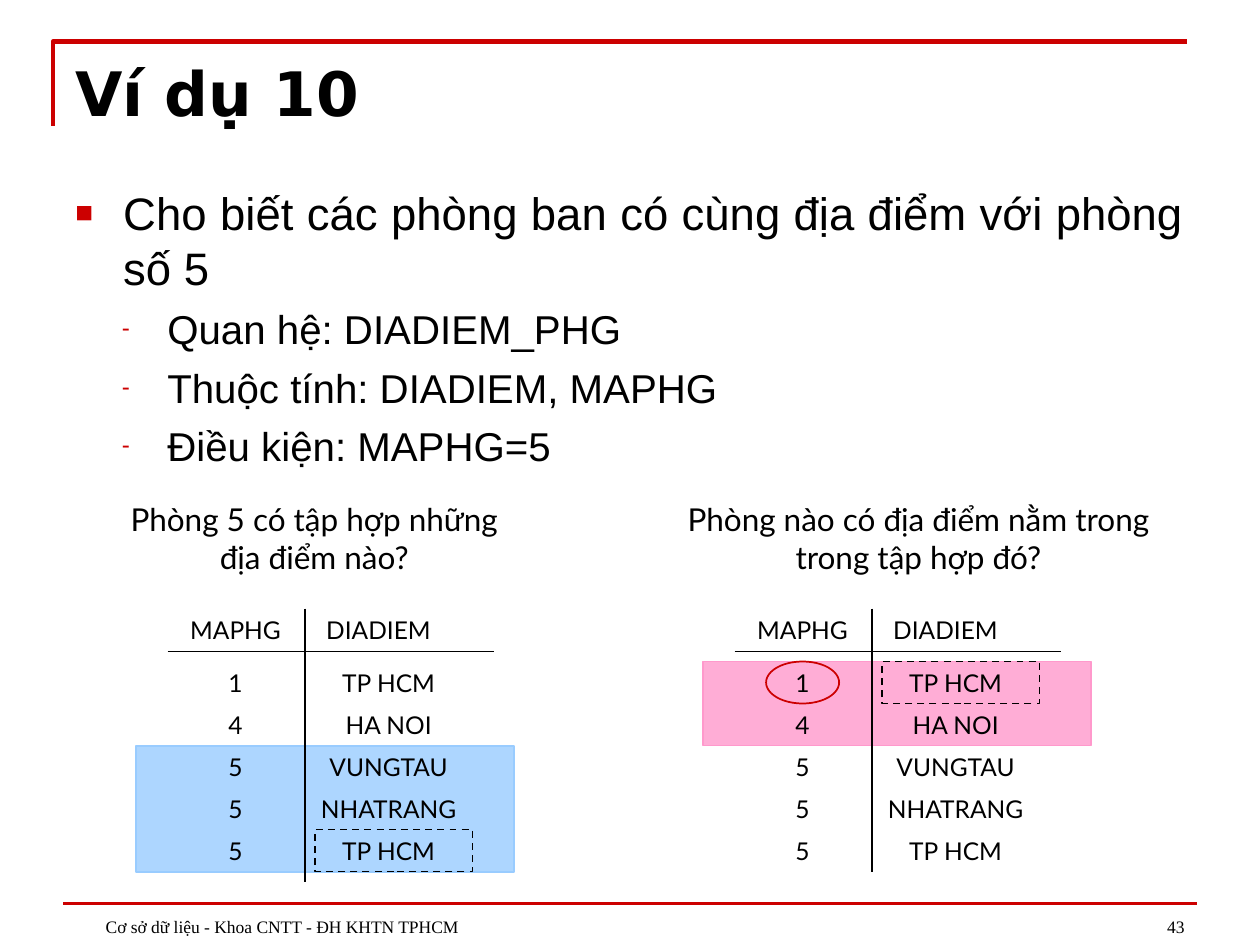
from dataclasses import dataclass

from lxml.etree import SubElement
from pptx import Presentation
from pptx.dml.color import RGBColor
from pptx.enum.dml import MSO_LINE
from pptx.enum.shapes import MSO_CONNECTOR, MSO_SHAPE
from pptx.enum.text import MSO_ANCHOR, PP_ALIGN
from pptx.oxml.ns import qn
from pptx.util import Inches, Pt


@dataclass(frozen=True)
class Theme:
    black: str = "000000"
    red: str = "CC0000"
    blue: str = "99CCFF"
    pink: str = "FF99CC"
    title_font: str = "DejaVu Sans"
    body_font: str = "Arial"
    table_font: str = "Lato"
    footer_font: str = "Times New Roman"
    title_size: float = 35
    body_size: float = 26
    detail_size: float = 23
    caption_size: float = 18
    cell_size: float = 14
    footer_size: float = 10


@dataclass(frozen=True)
class Area:
    left: float
    top: float
    width: float
    height: float

    def lengths(self) -> tuple:
        return tuple(Inches(n) for n in (self.left, self.top, self.width, self.height))


@dataclass(frozen=True)
class Bullet:
    mark: str
    percent: int
    margin: float
    hanging: float
    space_before: float


@dataclass(frozen=True)
class Relation:
    left: float
    bottom: float
    caption: str
    caption_area: Area
    highlight: Area
    colour: str


THEME = Theme()
HEADER_TOP, FIRST_ROW_TOP, ROW_STEP = 4.83, 5.25, 1 / 3
KEY_WIDTH, PLACE_WIDTH, CELL_HEIGHT = 1.08, 1.33, 0.34
ROWS = [("1", "TP HCM"), ("4", "HA NOI"), ("5", "VUNGTAU"), ("5", "NHATRANG"), ("5", "TP HCM")]
MAIN_BULLET = Bullet("■", 65, 0.38, -0.38, 6.5)
DETAIL_BULLET = Bullet("-", 60, 0.73, -0.36, 5.8)
BODY = [
    ("Cho biết các phòng ban có cùng địa điểm với phòng số 5", THEME.body_size, MAIN_BULLET),
    ("Quan hệ: DIADIEM_PHG", THEME.detail_size, DETAIL_BULLET),
    ("Thuộc tính: DIADIEM, MAPHG", THEME.detail_size, DETAIL_BULLET),
    ("Điều kiện: MAPHG=5", THEME.detail_size, DETAIL_BULLET),
]
RELATIONS = [
    Relation(5.83, 6.92, "Phòng nào có địa điểm nằm trong trong tập hợp đó?",
             Area(5.33, 3.92, 3.92, 0.7), Area(5.58, FIRST_ROW_TOP, 3.08, 2 * ROW_STEP), THEME.pink),
    Relation(1.33, 7, "Phòng 5 có tập hợp những địa điểm nào?",
             Area(0.83, 3.92, 3.33, 0.7), Area(1.08, 5.92, 3, 3 * ROW_STEP), THEME.blue),
]


def colour(code: str) -> RGBColor:
    return RGBColor.from_string(code)


def style(paragraph, font: str, size: float, align=PP_ALIGN.LEFT, bold: bool = False) -> None:
    paragraph.alignment = align
    paragraph.font.name = font
    paragraph.font.size = Pt(size)
    paragraph.font.bold = bold
    paragraph.font.color.rgb = colour(THEME.black)


def add_frame(page, area: Area, anchor=MSO_ANCHOR.TOP):
    frame = page.shapes.add_textbox(*area.lengths()).text_frame
    frame.word_wrap = True
    frame.vertical_anchor = anchor
    return frame


def add_text(page, area: Area, text: str, font: str, size: float, align=PP_ALIGN.CENTER,
             bold: bool = False, anchor=MSO_ANCHOR.TOP):
    para = add_frame(page, area, anchor).paragraphs[0]
    para.text = text
    style(para, font, size, align, bold)
    return para


def add_bullet(paragraph, bullet: Bullet) -> None:
    """Give the paragraph a red bullet with a hanging indent."""
    paragraph.space_before = Pt(bullet.space_before)
    properties = paragraph._p.get_or_add_pPr()
    properties.set("marL", str(Inches(bullet.margin)))
    properties.set("indent", str(Inches(bullet.hanging)))
    bullet_colour = SubElement(properties, qn("a:buClr"))
    SubElement(bullet_colour, qn("a:srgbClr"), val=THEME.red)
    SubElement(properties, qn("a:buSzPct"), val=str(bullet.percent * 1000))
    SubElement(properties, qn("a:buFont"), typeface=THEME.body_font)
    SubElement(properties, qn("a:buChar"), char=bullet.mark)


def add_body(page) -> None:
    frame = add_frame(page, Area(0.5, 1.42, 9, 5.29))
    for index, (text, size, bullet) in enumerate(BODY):
        para = frame.add_paragraph() if index else frame.paragraphs[0]
        para.text = text
        para.level = int(bullet is DETAIL_BULLET)
        style(para, THEME.body_font, size, PP_ALIGN.JUSTIFY)
        add_bullet(para, bullet)


def add_line(page, start: tuple[float, float], end: tuple[float, float],
             code: str = THEME.black, width: float = 1) -> None:
    ends = [Inches(n) for n in (*start, *end)]
    line = page.shapes.add_connector(MSO_CONNECTOR.STRAIGHT, *ends)
    line.line.color.rgb = colour(code)
    line.line.width = Pt(width)
    SubElement(line._element.spPr, qn("a:effectLst"))


def add_outline(page, kind, area: Area, code: str):
    shape = page.shapes.add_shape(kind, *area.lengths())
    shape.shadow.inherit = False
    shape.fill.background()
    shape.line.color.rgb = colour(code)
    shape.line.width = Pt(1)
    return shape


def add_highlight(page, area: Area, code: str) -> None:
    band = add_outline(page, MSO_SHAPE.RECTANGLE, area, code)
    band.fill.solid()
    band.fill.fore_color.rgb = colour(code)
    tint = band._element.spPr.find(qn("a:solidFill")).find(qn("a:srgbClr"))
    SubElement(tint, qn("a:alpha"), val="80000")


def add_relation(page, relation: Relation) -> None:
    """Draw one relation: caption, highlighted rows, rules and cells."""
    left, divider = relation.left, relation.left + KEY_WIDTH + 0.01
    add_text(page, relation.caption_area, relation.caption, THEME.table_font, THEME.caption_size)
    add_highlight(page, relation.highlight, relation.colour)
    add_line(page, (left, 5.17), (left + 2.59, 5.17))
    add_line(page, (divider, HEADER_TOP), (divider, relation.bottom))
    cells = [(HEADER_TOP, "MAPHG", "DIADIEM", 1.17)]
    cells += [(FIRST_ROW_TOP + index * ROW_STEP, key, place, PLACE_WIDTH)
              for index, (key, place) in enumerate(ROWS)]
    for top, key, place, place_width in cells:
        for x, width, text in ((left, KEY_WIDTH, key), (divider, place_width, place)):
            add_text(page, Area(x, top, width, CELL_HEIGHT), text, THEME.table_font, THEME.cell_size)


def add_marks(page) -> None:
    """Ring the matching department and box the shared place."""
    add_outline(page, MSO_SHAPE.OVAL, Area(6.08, FIRST_ROW_TOP, 0.58, ROW_STEP), THEME.red)
    for left, row in ((2.5, 4), (7, 0)):
        area = Area(left, FIRST_ROW_TOP + row * ROW_STEP, 1.25, ROW_STEP)
        box = add_outline(page, MSO_SHAPE.RECTANGLE, area, THEME.black)
        box.line.dash_style = MSO_LINE.DASH


def add_title(page) -> None:
    builder = page.shapes.build_freeform(Inches(0.42), Inches(1))
    corner = [(Inches(0.42), Inches(0.33)), (Inches(9.42), Inches(0.33))]
    builder.add_line_segments(corner, close=False)
    bracket = builder.convert_to_shape()
    bracket.shadow.inherit = False
    bracket.fill.background()
    bracket.line.color.rgb = colour(THEME.red)
    bracket.line.width = Pt(2.5)
    add_text(page, Area(0.5, 0.39, 9, 0.68), "Ví dụ 10", THEME.title_font, THEME.title_size,
             PP_ALIGN.LEFT, bold=True)


def add_footer(page) -> None:
    add_line(page, (0.5, 7.17), (9.5, 7.17), THEME.red, 2)
    for area, text, align in (
        (Area(7.17, 6.99, 2.33, 0.5), "43", PP_ALIGN.RIGHT),
        (Area(0.5, 6.99, 6.08, 0.5), "Cơ sở dữ liệu - Khoa CNTT - ĐH KHTN TPHCM", PP_ALIGN.LEFT),
    ):
        para = add_text(page, area, text, THEME.footer_font, THEME.footer_size, align,
                        anchor=MSO_ANCHOR.BOTTOM)
        para._p.get_or_add_pPr().set("marL", str(Inches(0.24)))


def main() -> None:
    deck = Presentation()
    deck.slide_width, deck.slide_height = Inches(10), Inches(7.5)
    page = deck.slides.add_slide(deck.slide_layouts[6])
    add_title(page)
    add_body(page)
    for relation in RELATIONS:
        add_relation(page, relation)
    add_marks(page)
    add_footer(page)
    deck.save("out.pptx")


if __name__ == "__main__":
    main()
